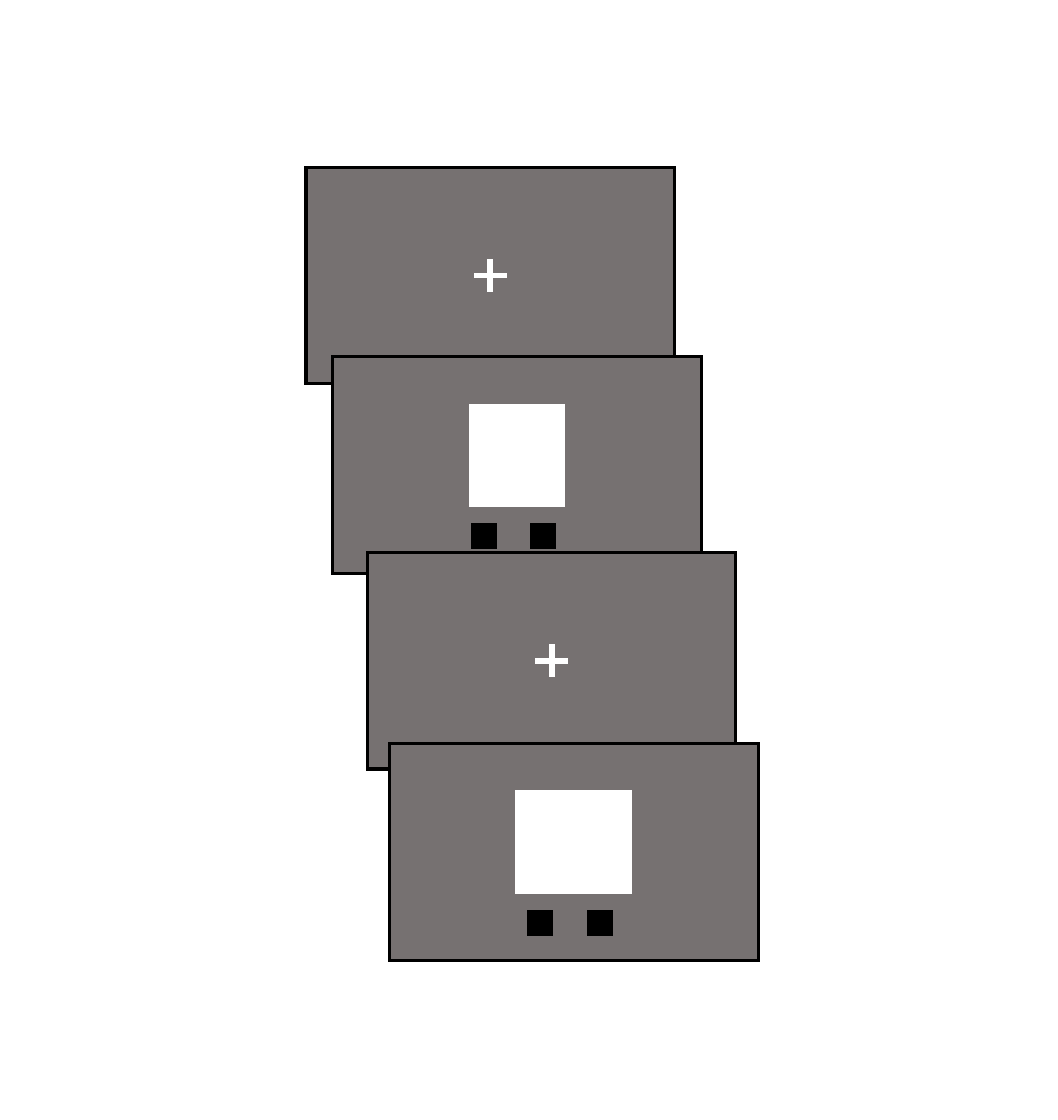
from dataclasses import dataclass

from lxml import etree
from pptx import Presentation
from pptx import util as u
from pptx.dml import color
from pptx.enum import shapes
from pptx.oxml import ns


@dataclass(frozen=True)
class Theme:
    screen: str = "767171"
    dark: str = "000000"
    light: str = "FFFFFF"
    frame_width: float = 1.5
    mark_width: float = 1


THEME = Theme()
CENTIMETRES_PER_INCH = 2.54
SLIDE_WIDTH, SLIDE_HEIGHT = 18 / CENTIMETRES_PER_INCH, 7.5
SCREEN_WIDTH, SCREEN_HEIGHT = 2.47, 1.45
CROSS_SIZE, CROSS_ADJUSTMENT = 0.21, 0.44
STIMULUS_TOP, STIMULUS_HEIGHT = 0.32, 0.68
KEY_LEFT, KEY_TOP, KEY_SIZE, KEY_PITCH = 0.93, 1.12, 0.16, 0.4


def add_mark(group, kind, box, fill, line, line_width):
    shape = group.shapes.add_shape(kind, *map(u.Inches, box))
    shape.shadow.inherit = False
    shape.fill.solid()
    shape.fill.fore_color.rgb = color.RGBColor.from_string(fill)
    shape.line.color.rgb = color.RGBColor.from_string(line)
    shape.line.width = u.Pt(line_width)
    outline = shape.element.spPr.find(ns.qn("a:ln"))
    etree.SubElement(outline, ns.qn("a:miter"), lim="800000")
    return shape


def add_screen(slide, left, top):
    group = slide.shapes.add_group_shape()
    add_mark(group, shapes.MSO_SHAPE.RECTANGLE, (left, top, SCREEN_WIDTH, SCREEN_HEIGHT),
             THEME.screen, THEME.dark, THEME.frame_width)
    return group


def add_fixation_screen(slide, left, top):
    group = add_screen(slide, left, top)
    box = (left + (SCREEN_WIDTH - CROSS_SIZE) / 2, top + (SCREEN_HEIGHT - CROSS_SIZE) / 2,
           CROSS_SIZE, CROSS_SIZE)
    cross = add_mark(group, shapes.MSO_SHAPE.CROSS, box,
                     THEME.light, THEME.light, THEME.mark_width)
    cross.adjustments[0] = CROSS_ADJUSTMENT


def add_stimulus_screen(slide, left, top, stimulus_width):
    group = add_screen(slide, left, top)
    for index in range(2):
        box = (left + KEY_LEFT + index * KEY_PITCH, top + KEY_TOP, KEY_SIZE, KEY_SIZE)
        add_mark(group, shapes.MSO_SHAPE.RECTANGLE, box,
                 THEME.dark, THEME.dark, THEME.mark_width)
    box = (left + (SCREEN_WIDTH - stimulus_width) / 2, top + STIMULUS_TOP,
           stimulus_width, STIMULUS_HEIGHT)
    add_mark(group, shapes.MSO_SHAPE.RECTANGLE, box,
             THEME.light, THEME.light, THEME.mark_width)


def main():
    presentation = Presentation()
    presentation.slide_width = u.Inches(SLIDE_WIDTH)
    presentation.slide_height = u.Inches(SLIDE_HEIGHT)
    slide = presentation.slides.add_slide(presentation.slide_layouts[6])
    slide.background.fill.solid()
    slide.background.fill.fore_color.rgb = color.RGBColor.from_string(THEME.light)

    add_fixation_screen(slide, 2.05, 1.12)
    add_stimulus_screen(slide, 2.23, 2.39, stimulus_width=0.63)
    add_fixation_screen(slide, 2.46, 3.7)
    add_stimulus_screen(slide, 2.61, 4.98, stimulus_width=0.77)

    presentation.save("out.pptx")


if __name__ == "__main__":
    main()
